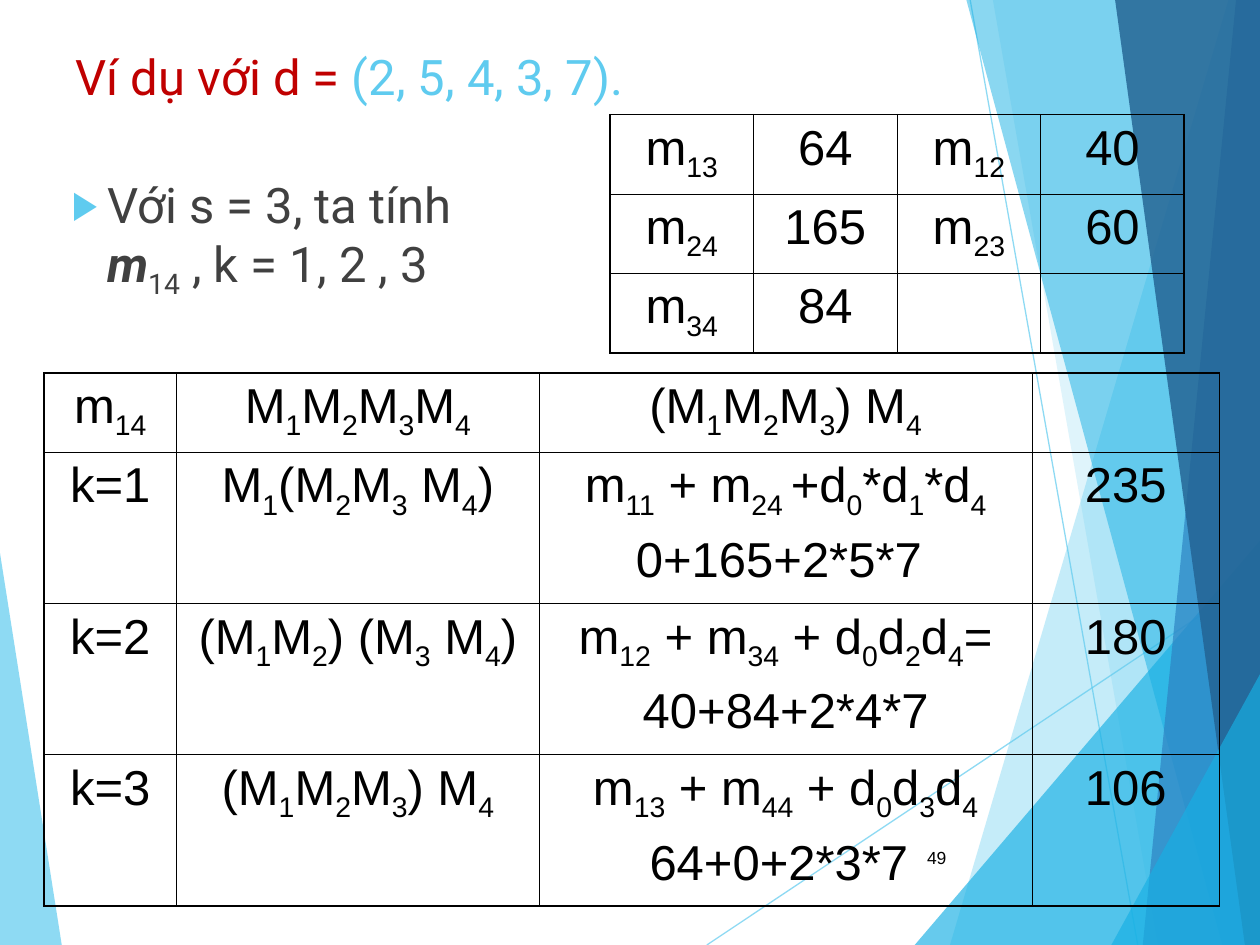
import lxml.etree
import pptx
import pptx.dml.color
import pptx.enum.text
import pptx.oxml.ns
import pptx.util

COLUMNS, ROWS = 100, 75
CELL = pptx.util.Inches(0.1)

COLOURS = {
    "sky": "5FCBEF",
    "cyan": "17B0E4",
    "blue": "2E83C3",
    "navy": "236292",
    "red": "C00000",
    "grey": "404040",
    "black": "000000",
}
FONTS = {
    "heading": {"name": "Roboto", "size": pptx.util.Pt(28), "bold": False},
    "variable": {"name": "Roboto", "size": pptx.util.Pt(28), "bold": True, "italic": True},
    "formula": {"name": "Arial", "size": pptx.util.Pt(28), "bold": False},
    "page": {"name": "Arial", "size": pptx.util.Pt(10)},
}
ALIGN = pptx.enum.text.PP_ALIGN
ANCHOR = pptx.enum.text.MSO_ANCHOR
OUTER, INNER = pptx.util.Pt(1.08), pptx.util.Pt(0.45)

FACETS = [
    ("sky", 70, [(0, 43.9), (4.9, 75), (0, 75)]),
    ("sky", 36, [(97.5, 0), (75.4, 75), (100, 75), (100, 0)]),
    ("sky", 20, [(78.8, 0), (91.9, 75), (100, 75), (100, 0)]),
    ("cyan", 66, [(72.6, 75), (100, 42.9), (100, 75)]),
    ("cyan", 50, [(76.7, 0), (97, 75), (100, 75), (100, 0)]),
    ("blue", 70, [(98.1, 0), (90.7, 75), (100, 75), (100, 0)]),
    ("navy", 82, [(88.5, 0), (98.8, 75), (100, 75), (100, 0)]),
    ("cyan", 66, [(88.2, 75), (100, 53.5), (100, 75)]),
]
RAYS = [((56.1, 75), (100, 45.7)), ((77, 0), (90.3, 75))]

# Text between tildes is subscript; a line break starts a new paragraph.
KNOWN_COSTS = [
    ["m~13~", "64", "m~12~", "40"],
    ["m~24~", "165", "m~23~", "60"],
    ["m~34~", "84", "", ""],
]
SPLIT_COSTS = [
    ["m~14~", "M~1~M~2~M~3~M~4~", "(M~1~M~2~M~3~) M~4~", ""],
    ["k=1", "M~1~(M~2~M~3~ M~4~)",
     "m~11~ + m~24 ~+d~0~*d~1~*d~4~\n0+165+2*5*7 ", "235"],
    ["k=2", "(M~1~M~2~) (M~3~ M~4~)",
     "m~12~ + m~34~ + d~0~d~2~d~4~=\n40+84+2*4*7", "180"],
    ["k=3", "(M~1~M~2~M~3~) M~4~",
     "m~13~ + m~44~ + d~0~d~3~d~4~\n64+0+2*3*7 ", "106"],
]


def grid(*cells):
    return [round(cell * CELL) for cell in cells]


def rgb(colour):
    return pptx.dml.color.RGBColor.from_string(COLOURS[colour])


def apply(target, **values):
    for attribute, value in values.items():
        setattr(target, attribute, value)


def child(parent, tag, **attributes):
    return lxml.etree.SubElement(parent, pptx.oxml.ns.qn(tag), attributes)


def set_opacity(fill_owner, percent):
    solid = next(fill_owner.iter(pptx.oxml.ns.qn("a:solidFill")))
    child(solid[0], "a:alpha", val=str(percent * 1000))


class Deck:
    """Holds the presentation and its current slide, laid out on the grid."""

    def __init__(self):
        self.file = pptx.Presentation()
        apply(self.file, slide_width=COLUMNS * CELL, slide_height=ROWS * CELL)
        self.slide = self.file.slides.add_slide(self.file.slide_layouts[1])
        self.shapes = self.slide.shapes

    def facet(self, colour, opacity, corners):
        start, *others = [grid(*corner) for corner in corners]
        outline = self.shapes.build_freeform(*start)
        outline.add_line_segments(others)
        facet = outline.convert_to_shape()
        facet.shadow.inherit = False
        facet.fill.solid()
        facet.fill.fore_color.rgb = rgb(colour)
        facet.line.fill.background()
        set_opacity(facet._element.spPr, opacity)

    def ray(self, start, end):
        ray = self.shapes.add_connector(1, *grid(*start, *end))
        ray.line.width = pptx.util.Pt(0.75)
        ray.line.color.rgb = rgb("sky")
        set_opacity(ray._element.spPr, 70)
        child(ray._element.spPr, "a:effectLst")

    def add_text(self, paragraph, text, font, colour):
        for index, part in enumerate(text.split("~")):
            if not part:
                continue
            run = paragraph.add_run()
            run.text = part
            apply(run.font, **FONTS[font])
            run.font.color.rgb = rgb(colour)
            if index % 2:
                run._r.get_or_add_rPr().set("baseline", "-25000")

    def placeholder(self, index, box, anchor):
        """Place a template placeholder in front and return its first paragraph."""
        holder = self.slide.placeholders[index]
        apply(holder, **dict(zip(("left", "top", "width", "height"), grid(*box))))
        apply(holder.text_frame, word_wrap=True, vertical_anchor=anchor,
              auto_size=pptx.enum.text.MSO_AUTO_SIZE.NONE)
        self.shapes._spTree.append(holder._element)
        paragraph = holder.text_frame.paragraphs[0]
        apply(paragraph, alignment=ALIGN.LEFT, space_before=pptx.util.Pt(0))
        return paragraph

    def title(self, box, pieces):
        paragraph = self.placeholder(0, box, ANCHOR.MIDDLE)
        for piece in pieces:
            self.add_text(paragraph, *piece)

    def bullet(self, box, pieces):
        paragraph = self.placeholder(1, box, ANCHOR.TOP)
        paragraph.line_spacing = 0.9
        properties = paragraph._p.get_or_add_pPr()
        for side, cells in (("marL", 4), ("indent", -2.8)):
            properties.set(side, str(grid(cells)[0]))
        child(child(properties, "a:buClr"), "a:srgbClr", val=COLOURS["sky"])
        child(properties, "a:buSzPct", val="80000")
        child(properties, "a:buFont", typeface="Arial")
        child(properties, "a:buChar", char="▶")
        for piece in pieces:
            self.add_text(paragraph, *piece)

    def borders(self, cell, outer_sides):
        for side in "LRTB":
            width = OUTER if side in outer_sides else INNER
            edge = child(cell._tc.get_or_add_tcPr(), f"a:ln{side}", w=str(int(width)))
            child(child(edge, "a:solidFill"), "a:srgbClr", val=COLOURS["black"])

    def table(self, left, top, widths, heights, rows):
        frame = self.shapes.add_table(
            len(rows), len(widths), *grid(left, top, sum(widths), sum(heights)))
        table = frame.table
        apply(table, first_row=False, horz_banding=False)
        for column, width in zip(table.columns, grid(*widths)):
            column.width = width
        for row, height in zip(table.rows, grid(*heights)):
            row.height = height
        for r, row in enumerate(rows):
            for c, formula in enumerate(row):
                cell = table.cell(r, c)
                edges = {"L": c == 0, "R": c == len(widths) - 1,
                         "T": r == 0, "B": r == len(rows) - 1}
                self.borders(cell, [side for side in edges if edges[side]])
                cell.fill.background()
                self.formula(cell.text_frame, formula)

    def formula(self, frame, text):
        for number, line in enumerate(text.split("\n")):
            paragraph = frame.add_paragraph() if number else frame.paragraphs[0]
            paragraph.alignment = ALIGN.CENTER
            if number:
                paragraph.space_before = pptx.util.Pt(7)
            self.add_text(paragraph, line, "formula", "black")

    def page_number(self, box, number):
        frame = self.shapes.add_textbox(*grid(*box)).text_frame
        apply(frame, word_wrap=True, vertical_anchor=ANCHOR.MIDDLE)
        frame.paragraphs[0].alignment = ALIGN.RIGHT
        self.add_text(frame.paragraphs[0], number, "page", "black")


def main():
    deck = Deck()
    left_facet, *right_facets = FACETS
    deck.facet(*left_facet)
    for ray in RAYS:
        deck.ray(*ray)
    for facet in right_facets:
        deck.facet(*facet)
    deck.title((5, 3, 64.7, 6.1), [("Ví dụ với d = ", "heading", "red"),
                                   ("(2, 5, 4, 3, 7).", "heading", "sky")])
    deck.bullet((3.5, 13.9, 35.4, 10.2), [("Với s = 3, ta tính ", "heading", "grey"),
                                          ("m", "variable", "grey"),
                                          ("~14~ , k = 1, 2 , 3", "heading", "grey")])
    deck.table(3.5, 29.6, [10.5, 28.8, 39.1, 14.9], [6.3] + [12] * 3, SPLIT_COSTS)
    deck.table(48.4, 9.1, [11.4] * 4, [6.3] * 3, KNOWN_COSTS)
    deck.page_number((70.5, 66.1, 5.6, 4), "49")
    deck.file.save("out.pptx")


if __name__ == "__main__":
    main()
